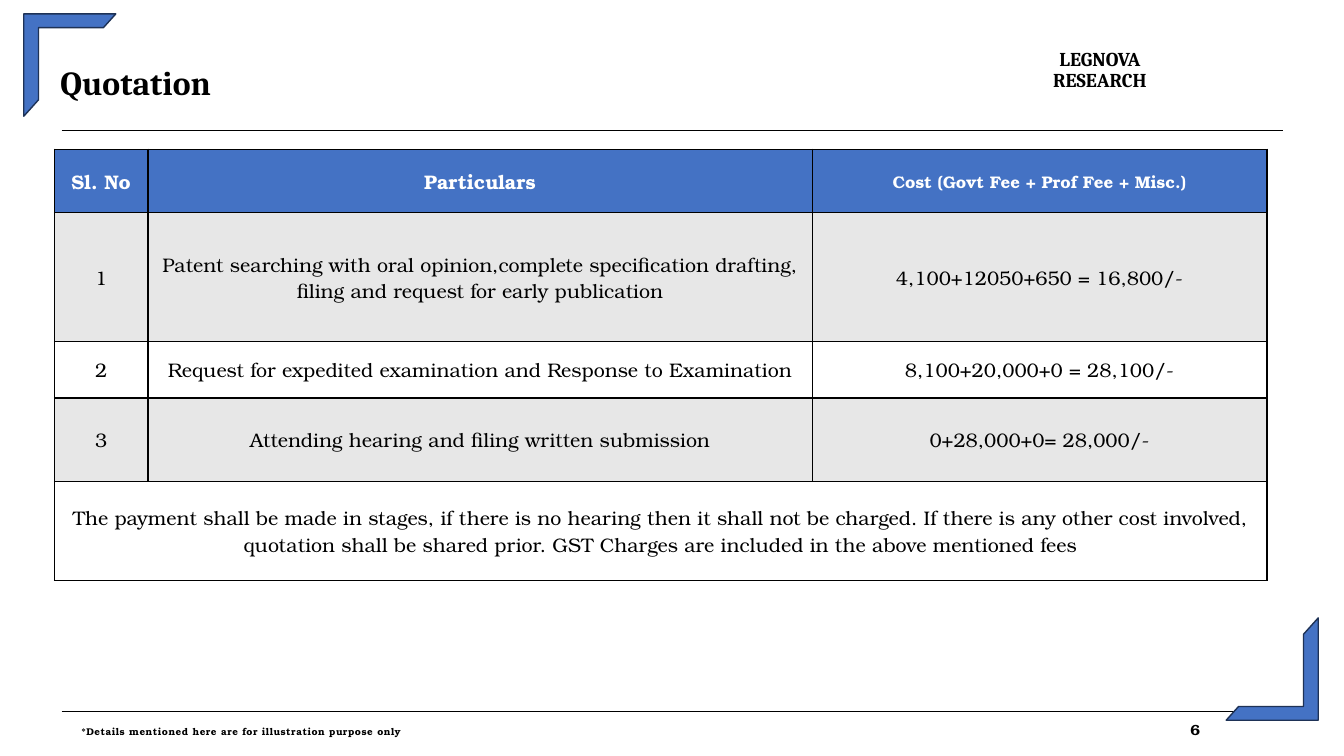
from lxml import etree
from pptx import Presentation
from pptx.dml.color import RGBColor
from pptx.enum.shapes import MSO_CONNECTOR, MSO_SHAPE
from pptx.enum.text import MSO_ANCHOR, MSO_AUTO_SIZE, PP_ALIGN
from pptx.oxml.ns import qn
from pptx.util import Cm, Pt

BLUE = RGBColor(0x44, 0x72, 0xC4)
NAVY = RGBColor(0x1E, 0x32, 0x56)
GREY = RGBColor(0xE7, 0xE7, 0xE7)
WHITE = RGBColor(0xFF, 0xFF, 0xFF)
BLACK = RGBColor(0x00, 0x00, 0x00)

LEFT, CENTER = PP_ALIGN.LEFT, PP_ALIGN.CENTER
MIDDLE = MSO_ANCHOR.MIDDLE
NO_AUTOFIT = MSO_AUTO_SIZE.NONE
STRAIGHT = MSO_CONNECTOR.STRAIGHT
HALF_FRAME = MSO_SHAPE.HALF_FRAME

HEADING_FONT, BODY_FONT = "Cambria", "TeX Gyre Bonum"
TITLE_FORMAT = {"name": HEADING_FONT, "size": Pt(24), "bold": True}
FIRM_FORMAT = {"name": HEADING_FONT, "size": Pt(14), "bold": True}
HEADER_FORMAT = {"name": BODY_FONT, "size": Pt(14), "bold": True}
COST_HEADER_FORMAT = HEADER_FORMAT | {"size": Pt(12)}
CELL_FORMAT = HEADER_FORMAT | {"bold": False}
NOTE_FORMAT = HEADER_FORMAT | {"size": Pt(7)}
NUMBER_FORMAT = HEADER_FORMAT | {"size": Pt(10.5)}
FRAME_FORMAT = {
    "margin_left": 0, "margin_top": 0, "margin_right": 0, "margin_bottom": 0,
    "word_wrap": True, "auto_size": NO_AUTOFIT, "vertical_anchor": MIDDLE,
}

COLUMN_WIDTHS = [2.36, 16.74, 11.46]
ROW_HEIGHTS = [1.6, 3.25, 1.42, 2.11, 2.49]
QUOTATION_ROWS = [
    ["Sl. No", "Particulars", "Cost (Govt Fee + Prof Fee + Misc.)"],
    ["1", "Patent searching with oral opinion,complete specification drafting, "
     "filing and request for early publication", "4,100+12050+650 = 16,800/-"],
    ["2", "Request for expedited examination and Response to Examination",
     "8,100+20,000+0 = 28,100/-"],
    ["3", "Attending hearing and filing written submission", "0+28,000+0= 28,000/-"],
    ["The payment shall be made in stages, if there is no hearing then it shall not be "
     "charged. If there is any other cost involved, quotation shall be shared prior. "
     "GST Charges are included in the above mentioned fees"],
]


def set_attributes(target, values):
    """Set each attribute named in a dict of format values."""
    for name, value in values.items():
        setattr(target, name, value)


def add_run(paragraph, text, values, color=BLACK):
    """Append a formatted run to a paragraph."""
    run = paragraph.add_run()
    run.text = text
    set_attributes(run.font, values)
    run.font.color.rgb = color
    return run


def add_text_box(slide, left, top, width, height):
    """Add an empty text box without margins and return its text frame."""
    box = slide.shapes.add_textbox(Cm(left), Cm(top), Cm(width), Cm(height))
    set_attributes(box.text_frame, FRAME_FORMAT)
    return box.text_frame


def add_rule(slide, left, top, width):
    """Draw a thin horizontal rule."""
    rule = slide.shapes.add_connector(
        STRAIGHT, Cm(left), Cm(top), Cm(left + width), Cm(top))
    rule.line.color.rgb = BLACK
    rule.line.width = Pt(0.5)
    etree.SubElement(rule._element.spPr, qn("a:effectLst"))


def add_heading(slide, left, top, width, height):
    """Place the title, the firm name and the rule below them."""
    title = slide.shapes.title
    set_attributes(title, {"left": Cm(left), "top": Cm(top),
                           "width": Cm(width), "height": Cm(height)})
    set_attributes(title.text_frame, FRAME_FORMAT)
    paragraph = title.text_frame.paragraphs[0]
    paragraph.alignment = LEFT
    add_run(paragraph, "Quotation", TITLE_FORMAT)

    firm = add_text_box(slide, left + 24.9, top + 0.2, 2.6, 1.1)
    for index, word in enumerate(["LEGNOVA", "RESEARCH"]):
        paragraph = firm.add_paragraph() if index else firm.paragraphs[0]
        set_attributes(paragraph, {"alignment": CENTER, "line_spacing": 0.87})
        add_run(paragraph, word, FIRM_FORMAT)
    add_rule(slide, left + 0.03, top + 2.25, 30.78)


def add_corner(slide, left, top, width, height, rotation):
    """Add a half frame that marks one corner of the slide."""
    corner = slide.shapes.add_shape(
        HALF_FRAME, Cm(left), Cm(top), Cm(width), Cm(height))
    corner.adjustments[0], corner.adjustments[1] = 0.15, 0.16
    corner.rotation = rotation
    corner.shadow.inherit = False
    corner.fill.solid()
    corner.fill.fore_color.rgb = BLUE
    corner.line.color.rgb = NAVY
    corner.line.width = Pt(1)


def set_borders(cell):
    """Give a cell a black border on all four sides."""
    properties = cell._tc.get_or_add_tcPr()
    for index, side in enumerate(["lnL", "lnR", "lnT", "lnB"]):
        line = etree.Element(qn(f"a:{side}"), w=str(Pt(1)))
        fill = etree.SubElement(line, qn("a:solidFill"))
        etree.SubElement(fill, qn("a:srgbClr"), val=str(BLACK))
        properties.insert(index, line)


def add_quotation_table(slide, left, top):
    """Add the table of fees with its payment note in the last row."""
    frame = slide.shapes.add_table(
        len(ROW_HEIGHTS), len(COLUMN_WIDTHS), Cm(left), Cm(top),
        Cm(sum(COLUMN_WIDTHS)), Cm(sum(ROW_HEIGHTS)))
    table = frame.table
    table.horz_banding = False
    for column, width in zip(table.columns, COLUMN_WIDTHS):
        column.width = Cm(width)
    for row_index, height in enumerate(ROW_HEIGHTS):
        row = table.rows[row_index]
        row.height = Cm(height)
        for cell in row.cells:
            cell.fill.solid()
            cell.fill.fore_color.rgb = (
                BLUE if row_index == 0 else GREY if row_index % 2 else WHITE)
            cell.vertical_anchor = MIDDLE
            set_borders(cell)
        for column_index, text in enumerate(QUOTATION_ROWS[row_index]):
            paragraph = row.cells[column_index].text_frame.paragraphs[0]
            paragraph.alignment = CENTER
            if row_index:
                add_run(paragraph, text, CELL_FORMAT)
            else:
                values = COST_HEADER_FORMAT if column_index == 2 else HEADER_FORMAT
                add_run(paragraph, text, values, WHITE)
    last_row = len(ROW_HEIGHTS) - 1
    table.cell(last_row, 0).merge(table.cell(last_row, len(COLUMN_WIDTHS) - 1))


def add_footer(slide, left, top, width):
    """Add the bottom rule, the note and the slide number."""
    add_rule(slide, left, top, width)
    frame = add_text_box(slide, left + 0.5, top + 0.19, width - 0.5, 0.56)
    paragraph = frame.paragraphs[0]
    tabs = etree.SubElement(paragraph._p.get_or_add_pPr(), qn("a:tabLst"))
    etree.SubElement(tabs, qn("a:tab"), pos=str(Cm(27.95)), algn="l")
    note = add_run(
        paragraph, "*Details mentioned here are for illustration purpose only\t", NOTE_FORMAT)
    note._r.get_or_add_rPr().set("spc", "40")
    add_run(paragraph, "6", NUMBER_FORMAT)


def main():
    """Build the quotation slide and save it."""
    presentation = Presentation()
    presentation.slide_width, presentation.slide_height = Cm(33.87), Cm(19.05)
    slide = presentation.slides.add_slide(presentation.slide_layouts[5])
    add_heading(slide, 1.52, 1.04, 28.07, 2.06)
    add_quotation_table(slide, 1.37, 3.76)
    add_footer(slide, 1.55, 17.92, 30.78)
    add_corner(slide, 0.6, 0.35, 2.32, 2.58, 0)
    add_corner(slide, 30.9, 15.57, 2.32, 2.58, 180)
    presentation.save("out.pptx")


if __name__ == "__main__":
    main()
